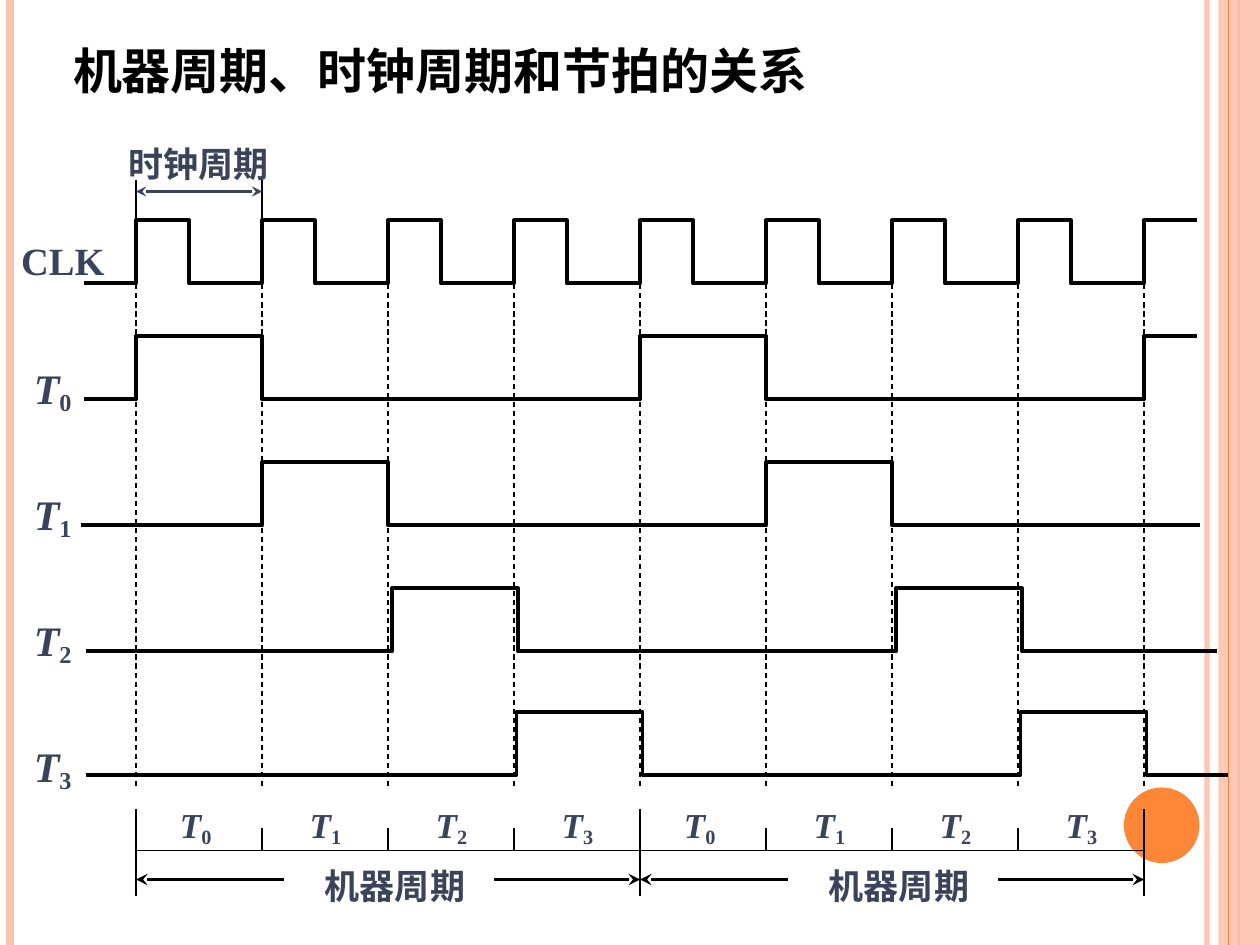
import pptx
import pptx.util
import pptx.dml.color
import pptx.enum.dml
import pptx.enum.shapes
import pptx.enum.text
import pptx.oxml
import pptx.oxml.ns

INK = {"black": "000000", "navy": "3B435B", "peach": "FEC3AE", "orange": "FE8637"}
FONT = "Times New Roman"
WIDE, HIGH = 10, 7.5
LEFT, CYCLE, COUNT = 1.08, 1, 8
PHASES = 4
RISE = 0.5
inch = pptx.util.Inches


def hue(name):
    return pptx.dml.color.RGBColor.from_string(INK[name])


def child(parent, tag, **attrs):
    node = pptx.oxml.parse_xml(f"<{tag} {pptx.oxml.ns.nsdecls('a')}/>")
    for key, value in attrs.items():
        node.set(key, value)
    parent.append(node)


def fade(part, share):
    """Make every colour inside the part opaque by the given percentage."""
    for clr in part.iter(pptx.oxml.ns.qn("a:srgbClr")):
        child(clr, "a:alpha", val=str(share * 1000))


def column(i):
    return LEFT + i * CYCLE


def line(slide, start, end, ink="black", width=0.75, dash=False, ends=()):
    link = slide.shapes.add_connector(
        pptx.enum.shapes.MSO_CONNECTOR.STRAIGHT, *map(inch, start + end))
    link.line.color.rgb = hue(ink)
    link.line.width = pptx.util.Pt(width)
    if dash:
        link.line.dash_style = pptx.enum.dml.MSO_LINE.DASH
    for end_tag in ends:
        child(link.line._ln, f"a:{end_tag}", type="stealth")
    child(link._element.spPr, "a:effectLst")
    return link


def solid(slide, kind, box, ink):
    shape = slide.shapes.add_shape(kind, *map(inch, box))
    shape.shadow.inherit = False
    shape.fill.solid()
    shape.fill.fore_color.rgb = hue(ink)
    shape.line.fill.background()
    return shape


def style(font, size, ink):
    font.name, font.size, font.bold = FONT, pptx.util.Pt(size), True
    font.color.rgb = hue(ink)


def label(slide, box, text, size, sub=""):
    """Write a bold label; with a subscript the main letter is italic."""
    frame = slide.shapes.add_textbox(*map(inch, box)).text_frame
    frame.word_wrap = False
    frame.auto_size = pptx.enum.text.MSO_AUTO_SIZE.SHAPE_TO_FIT_TEXT
    para = frame.paragraphs[0]
    style(para.font, size, "navy")
    run = para.add_run()
    run.text = text
    if sub:
        run.font.italic = True
        low = para.add_run()
        low.text = sub
        low.font._element.set("baseline", "-15000")


def wave(slide, left, right, base, pulses):
    """Draw a signal that is high between each pair of pulse edges."""
    points = [(left, base)]
    for up, down in pulses:
        points += [(up, base), (up, base - RISE)]
        points += [(min(down, right), base - RISE)]
        if down < right:
            points += [(down, base)]
    if points[-1][0] < right:
        points.append((right, base))
    points = [(inch(x), inch(y)) for x, y in points]
    path = slide.shapes.build_freeform(*points[0], scale=1.0)
    path.add_line_segments(points[1:], close=False)
    shape = path.convert_to_shape()
    shape.shadow.inherit = False
    shape.fill.background()
    shape.line.color.rgb = hue("black")
    shape.line.width = pptx.util.Pt(2.25)


def frame_side(slide):
    for share, ink, width, alpha in ((0.958, "peach", 3, 93), (0.008, "peach", 4.5, 100),
                                     (0.983, "orange", 1.5, 100)):
        x = share * WIDE
        fade(line(slide, (x, 0), (x, HIGH), ink, width)._element, alpha)
    kinds = pptx.enum.shapes.MSO_SHAPE
    band = solid(slide, kinds.RECTANGLE, (9.67, 0, 0.33, HIGH), "peach")
    fade(band._element, 87)
    line(slide, (9.75, 0), (9.75, HIGH), "orange")
    solid(slide, kinds.OVAL, (8.92, 6.25, 0.6, 0.6), "orange")


def heading(slide, box, text):
    title = slide.shapes.title
    title.left, title.top, title.width, title.height = map(inch, box)
    frame = title.text_frame
    frame.text = text
    frame.auto_size = pptx.enum.text.MSO_AUTO_SIZE.NONE
    frame.vertical_anchor = pptx.enum.text.MSO_ANCHOR.MIDDLE
    frame.paragraphs[0].alignment = pptx.enum.text.PP_ALIGN.LEFT
    style(frame.paragraphs[0].font, 28, "black")


def clock(slide, base):
    wave(slide, 0.67, 9.5, base,
         [(column(i), column(i) + 0.42) for i in range(COUNT + 1)])
    label(slide, (0.07, base - 0.42, 0.86, 0.47), "CLK", 22)
    top = base - 0.82
    for i in (0, 1):
        line(slide, (column(i), top), (column(i), top + 0.34), width=1.5)
    line(slide, (column(0), top + 0.09), (column(1), top + 0.09), "navy", 1.5,
         ends=("headEnd", "tailEnd"))
    label(slide, (0.92, top - 0.35, 1.32, 0.43), "时钟周期", 20)


def phases(slide, top):
    # left end, right end and shift of each signal
    rows = ((0.67, 9.5, 0), (0.64, 9.52, 0), (0.68, 9.66, 0.03), (0.68, 9.75, 0.02))
    for n, (left, right, shift) in enumerate(rows):
        base = top + n - (0.02 if n == 3 else 0)
        starts = [column(i) + shift for i in range(n, COUNT + 1, PHASES)]
        wave(slide, left, right, base, [(x, x + CYCLE) for x in starts])
        label(slide, (0.17, top + n - 0.34, 0.52, 0.5), "T", 24, str(n))


def guides(slide, top, bottom):
    for i in range(COUNT + 1):
        line(slide, (column(i), top), (column(i), bottom), dash=True)


def ruler(slide, axis):
    line(slide, (column(0), axis), (column(COUNT), axis))
    for i in range(COUNT + 1):
        up, down = (0.18, 0) if i % PHASES else (0.33, 0.36)
        line(slide, (column(i), axis - up), (column(i), axis + down))
    for i in range(COUNT):
        inset = 0.28 if i % PHASES else 0.25
        label(slide, (column(i) + inset, axis - 0.42, 0.46, 0.43), "T", 20,
              str(i % PHASES))
    for i in range(0, COUNT, PHASES):
        start, end, y = column(i), column(i + PHASES), axis + 0.23
        line(slide, (end - 1.16, y), (end, y), width=2.25, ends=("tailEnd",))
        line(slide, (start + 1.17, y), (start, y), width=2.25, ends=("tailEnd",))
        label(slide, (start + 1.4, axis + 0.06, 1.32, 0.43), "机器周期", 20)


def main():
    deck = pptx.Presentation()
    deck.slide_width, deck.slide_height = inch(WIDE), inch(HIGH)
    slide = deck.slides.add_slide(deck.slide_layouts[5])
    frame_side(slide)
    heading(slide, (0.48, 0.27, 8.3, 0.57), "机器周期、时钟周期和节拍的关系")
    phases(slide, 3.17)
    clock(slide, 2.25)
    guides(slide, 1.97, 6.25)
    ruler(slide, 6.75)
    deck.save("out.pptx")


if __name__ == "__main__":
    main()
